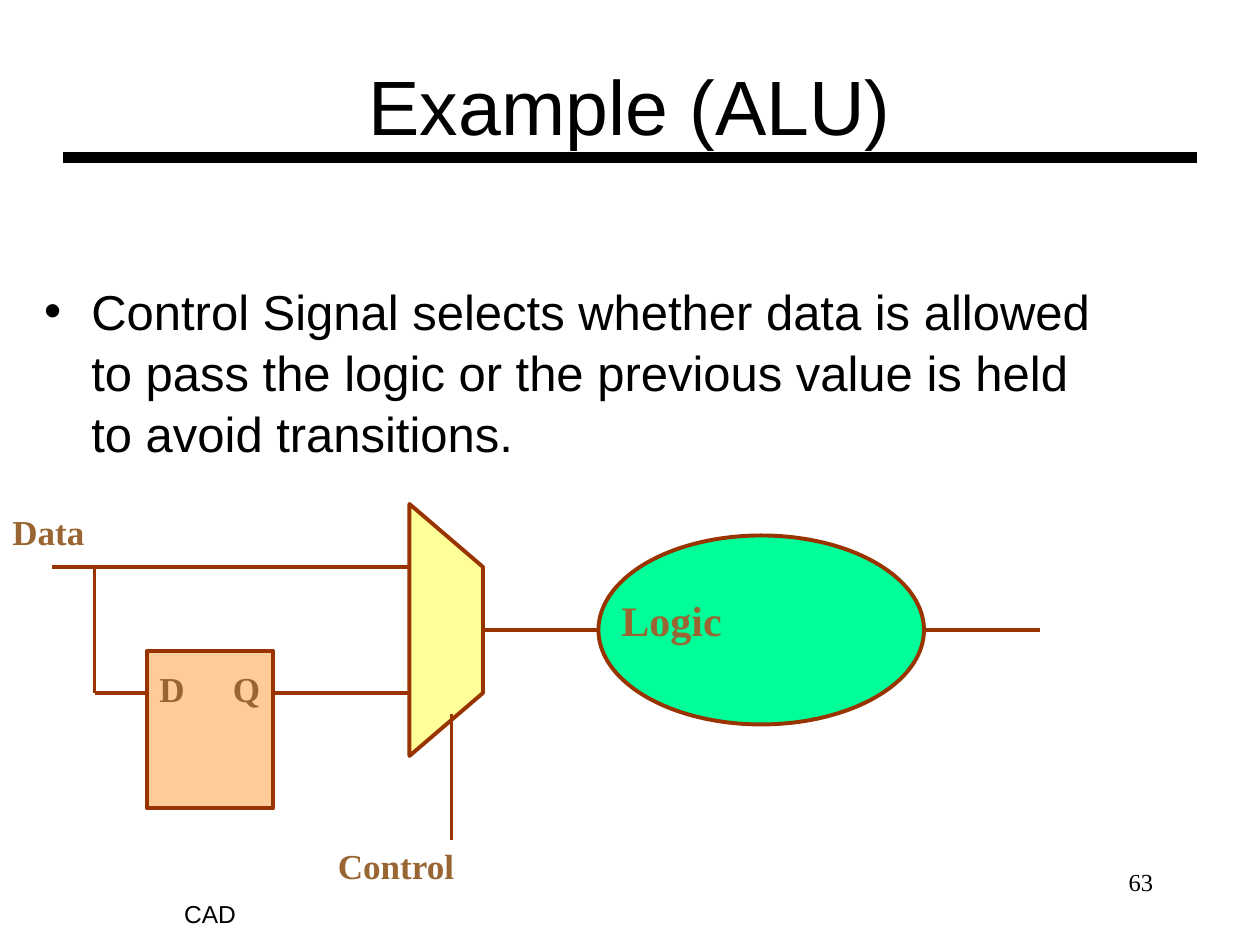
from lxml.etree import SubElement
from pptx import Presentation
from pptx.dml.color import RGBColor
from pptx.enum.shapes import MSO_CONNECTOR, MSO_SHAPE
from pptx.enum.text import MSO_ANCHOR as Anchor, MSO_AUTO_SIZE as AutoSize, PP_ALIGN as Align
from pptx.oxml.ns import qn
from pptx.util import Pt

BLACK = RGBColor(0x00, 0x00, 0x00)
OUTLINE = RGBColor(0x99, 0x33, 0x00)
LABEL = RGBColor(0x99, 0x66, 0x33)
GREEN = RGBColor(0x00, 0xFF, 0x99)
YELLOW = RGBColor(0xFF, 0xFF, 0x99)
PEACH = RGBColor(0xFF, 0xCC, 0x99)
SANS, SERIF = "Arial", "Times New Roman"

TITLE = "Example (ALU)"
BULLET = ("Control Signal selects whether data is allowed to pass the logic "
          "or the previous value is held to avoid transitions.")

# Heights of the signals and the x positions where they meet the blocks
DATA_Y, OUT_Y, HELD_Y = 324, 360, 396
BRANCH_X, MUX_LEFT, MUX_RIGHT = 54, 234, 276
CONTROL_X = 258
REGISTER = (84, 372, 72, 90)
LOGIC = (342, 306, 186, 108)
REGISTER_RIGHT = REGISTER[0] + REGISTER[2]
LOGIC_RIGHT = LOGIC[0] + LOGIC[2]
MUX = [(MUX_LEFT, 432), (MUX_RIGHT, HELD_Y), (MUX_RIGHT, DATA_Y), (MUX_LEFT, 288)]

WIRES = [
    (LOGIC_RIGHT, OUT_Y, 594, OUT_Y),
    (MUX_RIGHT, OUT_Y, LOGIC[0], OUT_Y),
    (MUX_LEFT, HELD_Y, REGISTER_RIGHT, HELD_Y),
    (REGISTER[0], HELD_Y, BRANCH_X, HELD_Y),
    (BRANCH_X, HELD_Y, BRANCH_X, DATA_Y),
    (MUX_LEFT, DATA_Y, 30, DATA_Y),
    (CONTROL_X, 480, CONTROL_X, 408),
]
# text, (left, top, width, height), size
LABELS = [
    ("Logic", (348, 336, 120, 36), 24),
    ("D", (84, 378, 30, 31), 20),
    ("Q", (126, 378, 30, 31), 20),
    ("Data", (0, 288, 60, 31), 20),
    ("Control", (186, 479, 114, 31), 20),
]


def points(values):
    return [Pt(value) for value in values]


def place(shape, box):
    shape.left, shape.top, shape.width, shape.height = points(box)


def write(shape, text, size, font=SANS, color=BLACK, bold=False,
          align=Align.LEFT, anchor=Anchor.TOP):
    frame = shape.text_frame
    frame.word_wrap = True
    frame.auto_size = AutoSize.NONE
    frame.vertical_anchor = anchor
    frame.text = text
    paragraph = frame.paragraphs[0]
    paragraph.alignment = align
    paragraph.space_before = Pt(0)
    return paragraph, style(paragraph.font, size, font, color, bold)


def style(font, size, name, color, bold):
    font.size, font.name, font.bold = Pt(size), name, bold
    font.color.rgb = color


def add_label(slide, box, *args, **kwargs):
    write(slide.shapes.add_textbox(*points(box)), *args, **kwargs)


def add_line(slide, ends, color, width):
    line = slide.shapes.add_connector(MSO_CONNECTOR.STRAIGHT, *points(ends))
    line.line.color.rgb = color
    line.line.width = Pt(width)
    SubElement(line._element.spPr, qn("a:effectLst"))


def paint(shape, fill):
    shape.shadow.inherit = False
    shape.fill.solid()
    shape.fill.fore_color.rgb = fill
    shape.line.color.rgb = OUTLINE
    shape.line.width = Pt(2.25)


def add_heading(slide):
    title, body = slide.shapes.title, slide.placeholders[1]
    place(title, (54, 0, 612, 90))
    write(title, TITLE, 44, align=Align.CENTER, anchor=Anchor.BOTTOM)
    place(body, (18, 156, 612, 114))
    paragraph, _ = write(body, BULLET, 28)
    paragraph.line_spacing = 1.04
    properties = paragraph._p.get_or_add_pPr()
    properties.set("marL", str(Pt(27)))
    properties.set("indent", str(-Pt(27)))
    SubElement(properties, qn("a:buFont"), typeface=SANS)
    SubElement(properties, qn("a:buChar"), char="•")
    # Font properties belong after the bullet elements
    properties.append(properties.find(qn("a:defRPr")))


def add_circuit(slide):
    paint(slide.shapes.add_shape(MSO_SHAPE.OVAL, *points(LOGIC)), GREEN)
    mux = slide.shapes.build_freeform(*points(MUX[0]), scale=1.0)
    mux.add_line_segments([points(corner) for corner in MUX[1:]], close=True)
    paint(mux.convert_to_shape(), YELLOW)
    paint(slide.shapes.add_shape(MSO_SHAPE.RECTANGLE, *points(REGISTER)), PEACH)
    for ends in WIRES:
        add_line(slide, ends, OUTLINE, 2.25)
    for text, box, size in LABELS:
        add_label(slide, box, text, size, SERIF, LABEL, bold=True)


def main():
    deck = Presentation()
    deck.slide_width, deck.slide_height = Pt(720), Pt(540)
    slide = deck.slides.add_slide(deck.slide_layouts[1])
    add_line(slide, (36, 90, 684, 90), BLACK, 6)
    add_label(slide, (6, 504, 228, 36), "CAD", 14,
              align=Align.CENTER, anchor=Anchor.MIDDLE)
    add_label(slide, (618, 492, 48, 36), "63", 14, SERIF, align=Align.RIGHT)
    add_heading(slide)
    add_circuit(slide)
    deck.save("out.pptx")


if __name__ == "__main__":
    main()
